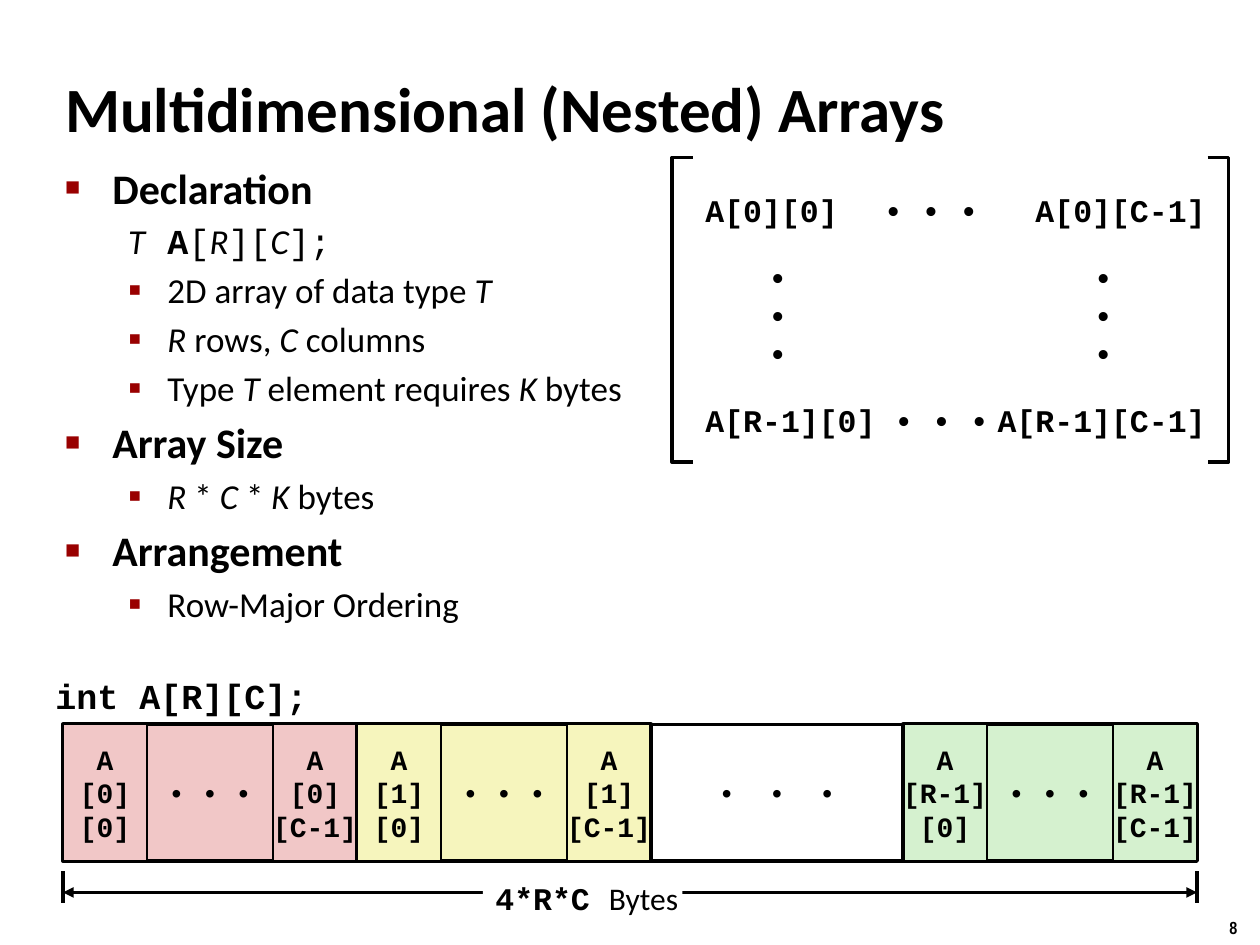
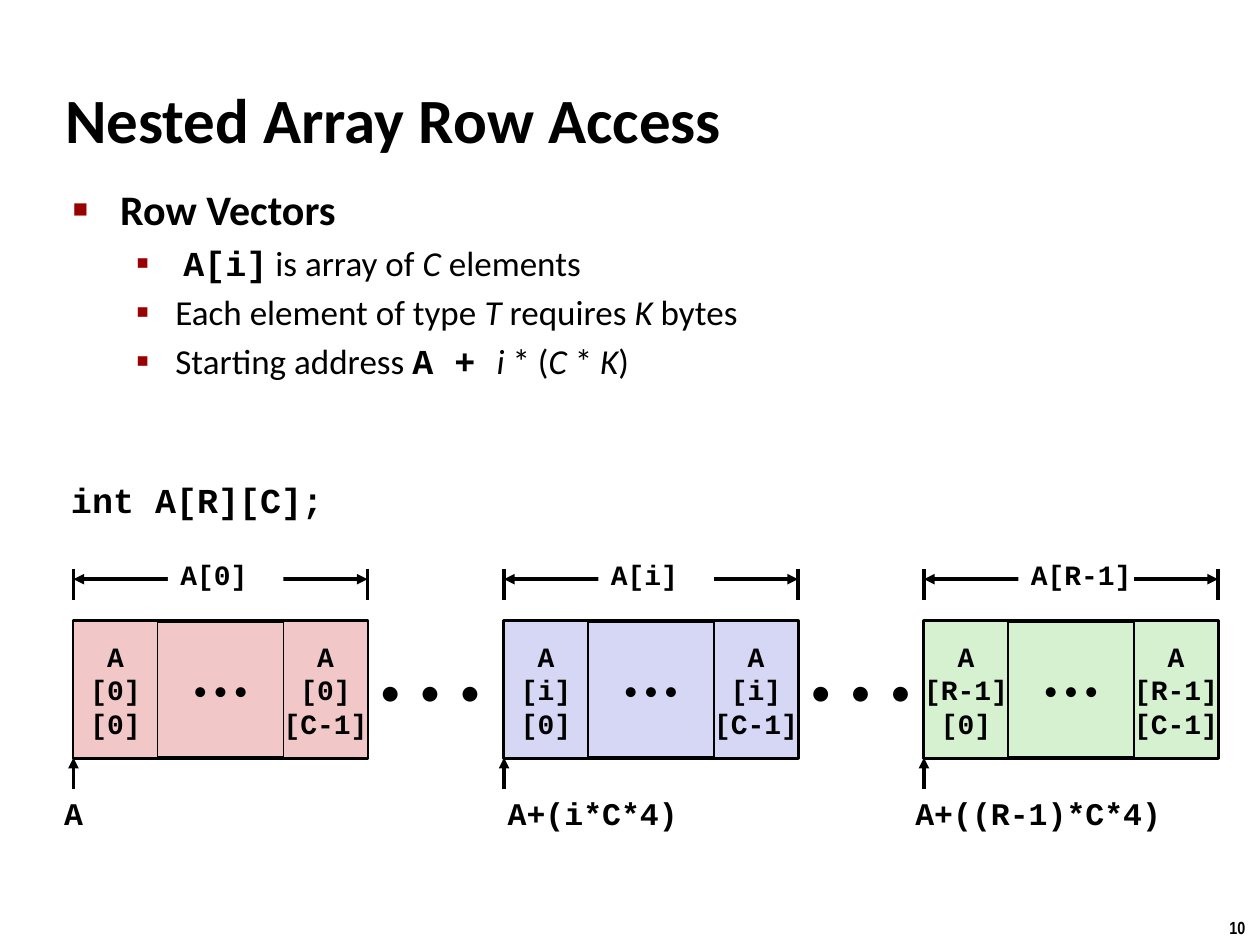
from lxml.etree import SubElement
from pptx import Presentation
from pptx.dml.color import RGBColor
from pptx.enum.shapes import MSO_CONNECTOR, MSO_SHAPE
from pptx.enum.text import MSO_ANCHOR, MSO_AUTO_SIZE, PP_ALIGN
from pptx.oxml.ns import qn
from pptx.util import Pt

# Shared look
color = RGBColor.from_string
BLACK, WHITE, BULLET = "000000", "FFFFFF", "990000"
PINK, YELLOW, GREEN, LILAC = "F1C7C7", "F6F5BD", "D5F1CF", "D6D6F5"
SANS, MONO, NARROW = "Calibri", "Courier New", "Arial Narrow"
LEFT, CENTER, RIGHT = PP_ALIGN.LEFT, PP_ALIGN.CENTER, PP_ALIGN.RIGHT
DOTS = "•\u00a0•\u00a0•"
WIDE_DOTS = "• \u00a0•\u00a0 •"
ROW_WIDTH, CELL_WIDTH, ROW_HEIGHT = 168, 48, 78


def add_text(slide, lines, left, top, width, height, holder=None, fill=None, line=0,
             size=18, font=MONO, bold=True, align=LEFT, anchor=MSO_ANCHOR.MIDDLE, wrap=False):
    """Lines are strings or lists of (text, style): b bold, i italic, m mono, s sans."""
    box = [Pt(value) for value in (left, top, width, height)]
    if holder is not None:
        shape = holder
        shape.left, shape.top, shape.width, shape.height = box
    elif fill:
        shape = slide.shapes.add_shape(MSO_SHAPE.RECTANGLE, *box)
        shape.shadow.inherit = False
        shape.fill.solid()
        shape.fill.fore_color.rgb = color(fill)
        if line:
            shape.line.color.rgb = color(BLACK)
            shape.line.width = Pt(line)
        else:
            shape.line.fill.background()
    else:
        shape = slide.shapes.add_textbox(*box)
    frame = shape.text_frame
    frame.word_wrap = wrap
    frame.auto_size = MSO_AUTO_SIZE.NONE
    frame.vertical_anchor = anchor
    for number, content in enumerate([lines] if isinstance(lines, str) else lines):
        paragraph = frame.add_paragraph() if number else frame.paragraphs[0]
        paragraph.alignment = align
        runs = [(content, "b" if bold else "")] if isinstance(content, str) else content
        for text, style in runs:
            run = paragraph.add_run()
            run.text = text
            run.font.name = MONO if "m" in style else SANS if "s" in style else font
            run.font.size = Pt(size)
            run.font.bold = "b" in style
            run.font.italic = "i" in style
            run.font.color.rgb = color(BLACK)
    return shape


def add_line(slide, x1, y1, x2, y2, arrows=()):
    connector = slide.shapes.add_connector(
        MSO_CONNECTOR.STRAIGHT, Pt(x1), Pt(y1), Pt(x2), Pt(y2))
    connector.line.color.rgb = color(BLACK)
    connector.line.width = Pt(2)
    for end in arrows:
        SubElement(connector.line._get_or_add_ln(), qn("a:" + end), type="triangle")
    SubElement(connector._element.spPr, qn("a:effectLst"))


presentation = Presentation()
presentation.slide_width, presentation.slide_height = Pt(720), Pt(540)

# Title, page number, list and declaration of each slide; list levels are 0, 1
# and None for an indented line without a bullet
contents = [
    ("Multidimensional (Nested) Arrays", (30, 39, 636, 45), "8",
     (30, 89, 349, 265), (25, 382), [
         (0, [("Declaration", "b")]),
         (None, [("T\t", "i"), ("A", "bm"), ("[", "m"), ("R", "i"), ("][", "m"),
                 ("C", "i"), ("];", "m")]),
         (1, [("2D array of data type ", ""), ("T", "i")]),
         (1, [("R", "i"), (" rows, ", ""), ("C", "i"), (" columns", "")]),
         (1, [("Type ", ""), ("T", "i"), (" element requires ", ""), ("K", "i"),
              (" bytes", "")]),
         (0, [("Array Size", "b")]),
         (1, [("R", "i"), (" * ", ""), ("C ", "i"), ("* ", ""), ("K ", "i"),
              ("bytes", "")]),
         (0, [("Arrangement", "b")]),
         (1, [("Row-Major Ordering", "")])]),
    ("Nested Array Row Access", (30, 45, 546, 45), "10",
     (34.5, 101.5, 470, 115), (34, 270), [
         (0, [("Row Vectors", "b")]),
         (1, [(" ", ""), ("A[i]", "bm"), (" is array of ", ""), ("C", "i"),
              (" elements", "")]),
         (1, [("Each element of type ", ""), ("T ", "i"), ("requires ", ""),
              ("K ", "i"), ("bytes", "")]),
         (1, [("Starting address ", ""), ("A + ", "bm"), ("i", "i"), (" * (", ""),
              ("C ", "i"), ("* ", ""), ("K", "i"), (")", "")])]),
]
slides = []
for title, title_box, page, body_box, code_place, items in contents:
    slide = presentation.slides.add_slide(presentation.slide_layouts[1])
    slides.append(slide)
    add_text(slide, title, *title_box, holder=slide.shapes.title, size=36, font=SANS,
             wrap=True)
    body = add_text(slide, [runs for level, runs in items], *body_box,
                    holder=slide.placeholders[1], size=20, font=SANS,
                    anchor=MSO_ANCHOR.TOP, wrap=True)
    for paragraph, (level, runs) in zip(body.text_frame.paragraphs, items):
        top_level = level == 0
        paragraph.level = 0 if top_level else 1
        properties = paragraph._p.get_or_add_pPr()
        margin, hanging = (27, 27) if top_level else (58.5, 22.5)
        properties.set("marL", str(Pt(margin)))
        properties.set("indent", str(-Pt(hanging)))
        if level is None:
            SubElement(properties, qn("a:buNone"))
            continue
        bullet_color = SubElement(properties, qn("a:buClr"))
        SubElement(bullet_color, qn("a:srgbClr"), val=BULLET)
        SubElement(properties, qn("a:buSzPct"), val="60000" if top_level else "110000")
        SubElement(properties, qn("a:buChar"), char="■" if top_level else "▪")
        if top_level:
            for run in paragraph.runs:
                run.font.size = Pt(24)
    add_text(slide, "int A[R][C];", *code_place, 158, 31, size=20, align=RIGHT,
             anchor=MSO_ANCHOR.TOP)
    add_text(slide, page, 695.5, 520.5, 24.5, 19.5, size=10, font=NARROW,
             anchor=MSO_ANCHOR.TOP)
matrix_slide, access_slide = slides

# Matrix: corner elements, dots between them, and brackets
for top, row, dots_left in ((102, "0", 498), (222, "R-1", 504)):
    add_text(matrix_slide, f"A[{row}][0]", 396, top, 96, 36, fill=WHITE)
    add_text(matrix_slide, DOTS, dots_left, top, 72, 36, fill=WHITE)
    add_text(matrix_slide, f"A[{row}][C-1]", 600, top, 96, 36, fill=WHITE, align=RIGHT)
for left in (432, 618):
    add_text(matrix_slide, ["•"] * 3, left, 150, 36, 60, fill=WHITE)
for tip, edge in ((396, 384), (690, 702)):
    builder = matrix_slide.shapes.build_freeform(Pt(tip), Pt(90), scale=1.0)
    builder.add_line_segments(
        [(Pt(edge), Pt(90)), (Pt(edge), Pt(264)), (Pt(tip), Pt(264))], close=False)
    bracket = builder.convert_to_shape()
    bracket.shadow.inherit = False
    bracket.fill.background()
    bracket.line.color.rgb = color(BLACK)
    bracket.line.width = Pt(2)

# Dots between the separate rows
for left in (210, 456):
    add_text(access_slide, WIDE_DOTS, left, 355, 78, ROW_HEIGHT, fill=WHITE, size=24,
             font=SANS, bold=False)

# Array rows in memory: first cell, dots, last cell
rows = [
    (matrix_slide, 36, 414, "0", PINK, MONO),
    (matrix_slide, 204, 414, "1", YELLOW, MONO),
    (matrix_slide, 516, 414, "R-1", GREEN, MONO),
    (access_slide, 42, 355, "0", PINK, SANS),
    (access_slide, 288, 355, "i", LILAC, SANS),
    (access_slide, 528, 355, "R-1", GREEN, SANS),
]
for slide, left, top, row, fill, dots_font in rows:
    add_text(slide, DOTS, left, top, ROW_WIDTH, ROW_HEIGHT, fill=fill, line=2.25,
             size=16, font=dots_font, bold=False, align=CENTER)
    for offset, column in ((0, "0"), (ROW_WIDTH - CELL_WIDTH, "C-1")):
        add_text(slide, ["A", f"[{row}]", f"[{column}]"], left + offset, top, CELL_WIDTH,
                 ROW_HEIGHT, fill=fill, line=1, size=16, align=CENTER)
add_text(matrix_slide, WIDE_DOTS, 372, 414, 144, ROW_HEIGHT, fill=WHITE, line=2, size=16,
         bold=False, align=CENTER)

# Dimension lines: ends, double arrow, label on top
total = [[("4*R*C ", "bm"), ("Bytes", "s")]]
dimensions = [(matrix_slide, 36, 684, 498, 510, total, (276, 498, 114), 18)]
for left, label in ((42, "A[0]"), (288, "A[i]"), (528, "A[R-1]")):
    dimensions.append((access_slide, left, left + ROW_WIDTH, 325, 331, label,
                       (left + 54, 313, 66), 16))
for slide, start, end, top, middle, label, label_place, size in dimensions:
    for x in (start, end):
        add_line(slide, x, top, x, top + 18)
    add_line(slide, start, middle, end, middle, ("headEnd", "tailEnd"))
    add_text(slide, label, *label_place, 30, fill=WHITE, size=size)

# Start addresses
for x, left, width, address, align in ((42, 26.5, 31, "A", CENTER),
                                       (288, 283, 143, "A+(i*C*4)", LEFT),
                                       (528, 516, 180, "A+((R-1)*C*4)", LEFT)):
    add_line(access_slide, x, 451, x, 433, ("tailEnd",))
    add_text(access_slide, address, left, 450, width, 29, align=align,
             anchor=MSO_ANCHOR.TOP, wrap=True)

presentation.save("out.pptx")
